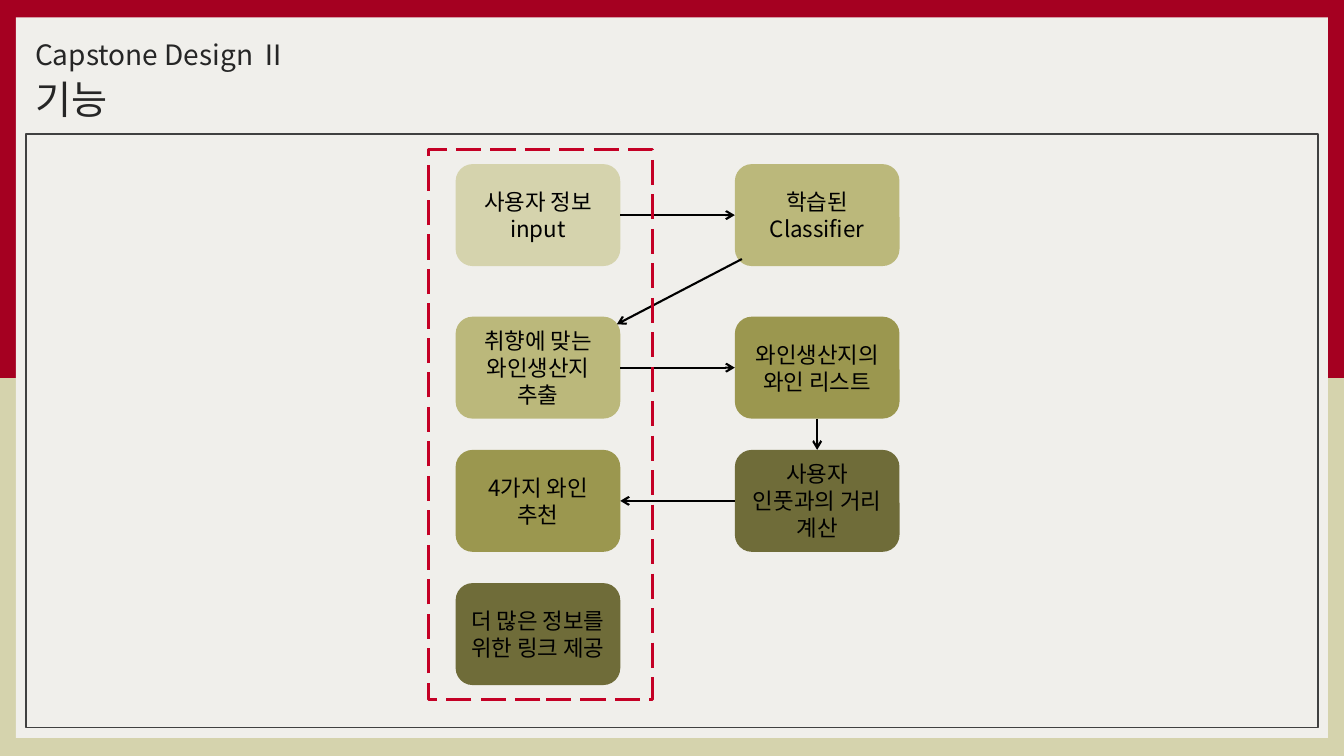
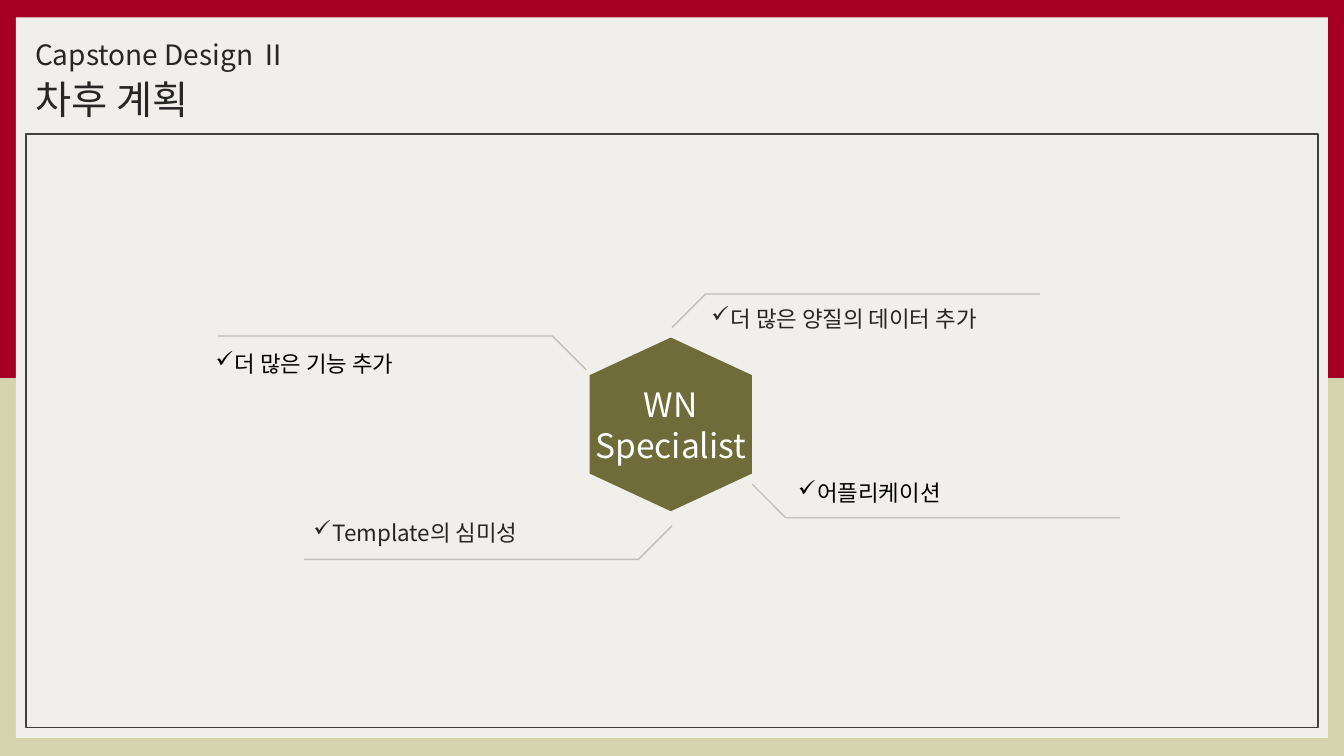
from dataclasses import dataclass

from lxml.etree import SubElement
from pptx import Presentation
from pptx.dml.color import RGBColor as Rgb
from pptx.enum.dml import MSO_LINE as Dash
from pptx.enum.shapes import MSO_CONNECTOR as Link, MSO_SHAPE as Shape
from pptx.enum.text import MSO_ANCHOR as Anchor, MSO_AUTO_SIZE as Fit, PP_ALIGN as Align
from pptx.oxml.ns import qn
from pptx.util import Emu, Inches, Pt

COLUMNS, ROWS = 80, 45
TOP, LEFT, BOTTOM, RIGHT = range(4)


@dataclass(frozen=True)
class Theme:
    """Colours, font and type sizes of the deck."""
    font: str = "Noto Sans CJK KR"
    wine: str = "A50021"
    accent: str = "C40025"
    sand: str = "D5D3AD"
    khaki: str = "BBB87B"
    olive: str = "9B974F"
    moss: str = "6F6C39"
    paper: str = "F0EFEB"
    frame: str = "404040"
    rule: str = "BFBFBF"
    ink: str = "262626"
    black: str = "000000"
    white: str = "FFFFFF"
    title: int = 28
    hub: int = 24
    course: int = 20
    body: int = 16


def assign(target, formats):
    """Set every attribute named in the formats."""
    for attribute, value in formats.items():
        setattr(target, attribute, value)


class Deck:
    """Draws themed elements on the current slide, measured in grid cells."""

    def __init__(self, theme):
        """Open a wide presentation with a square grid."""
        self.theme = theme
        self.deck = Presentation()
        assign(self.deck, {"slide_width": Inches(13.333), "slide_height": Inches(7.5)})
        self.cell = self.deck.slide_height / ROWS
        self.layout = self.deck.slide_layouts[5]
        self.slide = None

    def cells(self, *counts):
        """Turn grid counts into lengths."""
        return [Emu(round(count * self.cell)) for count in counts]

    def start(self, title, course):
        """Add a slide with its two-line heading."""
        theme = self.theme
        self.slide = self.deck.slides.add_slide(self.layout)
        if len(self.deck.slides) == 1:
            self.dress_layout()
        heading = self.slide.shapes.title
        places = zip(("left", "top", "width", "height"), self.cells(1.5, 4.02, 77, 3.12))
        assign(heading, dict(places))
        subject = self.slide.shapes.add_textbox(*self.cells(1.5, 1.44, 77, 3.12))
        for holder, words, size in ((heading, title, theme.title),
                                    (subject, course, theme.course)):
            self.label(holder, [words], size, theme.ink, Align.LEFT,
                       {"vertical_anchor": Anchor.MIDDLE, "auto_size": Fit.NONE},
                       {"line_spacing": 1.2, "space_before": Pt(0)})

    def dress_layout(self):
        """Move the bands, paper and frame behind every slide."""
        theme, half = self.theme, ROWS / 2
        backdrop = [
            self.block((0, 0, COLUMNS, half), theme.wine),
            self.block((0, half, COLUMNS, half), theme.sand),
            self.block((0.95, 1.03, 78.1, 42.9), theme.paper),
            self.block((1.55, 7.97, 76.9, 35.33), line=(theme.frame, 1)),
        ]
        for holder in list(self.layout.placeholders)[1:]:
            self.layout.shapes.element.remove(holder.element)
        for position, part in enumerate(backdrop, 2):
            self.layout.shapes.element.insert(position, part.element)

    def paint(self, part, fill=None, line=None, dash=None):
        """Give a shape its fill and outline without a shadow."""
        part.shadow.inherit = False
        if fill:
            part.fill.solid()
            part.fill.fore_color.rgb = Rgb.from_string(fill)
        else:
            part.fill.background()
        if line:
            self.stroke(part.line, *line, dash)
        else:
            part.line.fill.background()
        return part

    def stroke(self, line, color, width, dash=None):
        """Format a line."""
        line.color.rgb = Rgb.from_string(color)
        assign(line, {"width": Pt(width), "dash_style": dash})

    def block(self, place, fill=None, line=None, dash=None, kind=Shape.RECTANGLE):
        """Add a preset shape."""
        part = self.slide.shapes.add_shape(kind, *self.cells(*place))
        return self.paint(part, fill, line, dash)

    def outline(self, points, closed=False, **look):
        """Add a shape through the given grid points."""
        first, *others = [self.cells(*point) for point in points]
        builder = self.slide.shapes.build_freeform(*first, scale=1.0)
        builder.add_line_segments(others, close=closed)
        return self.paint(builder.convert_to_shape(), **look)

    def label(self, holder, lines, size, color, align, frame=None, spacing=None, bullet=None):
        """Fill a shape with formatted paragraphs."""
        body = holder.text_frame
        assign(body, {"word_wrap": True, **(frame or {})})
        for index, words in enumerate(lines):
            paragraph = body.add_paragraph() if index else body.paragraphs[0]
            assign(paragraph, {"alignment": align, **(spacing or {})})
            if bullet:
                properties = paragraph._p.get_or_add_pPr()
                properties.set("marL", str(Inches(0.19)))
                properties.set("indent", str(-Inches(0.19)))
                SubElement(properties, qn("a:buChar")).set("char", bullet)
            run = paragraph.add_run()
            run.text = words
            assign(run.font, {"size": Pt(size), "name": self.theme.font})
            run.font.color.rgb = Rgb.from_string(color)
            SubElement(run._r.get_or_add_rPr(), qn("a:ea")).set("typeface", self.theme.font)

    def step(self, place, lines, fill):
        """Add one rounded step of a flow."""
        part = self.block(place, fill, kind=Shape.ROUNDED_RECTANGLE)
        self.label(part, lines, self.theme.body, self.theme.black, Align.CENTER,
                   {"vertical_anchor": Anchor.MIDDLE})
        return part

    def arrow(self, begin=(0, 0), end=(0, 0), source=None, target=None):
        """Add an arrow between points or between joined sides."""
        link = self.slide.shapes.add_connector(Link.STRAIGHT, *self.cells(*begin, *end))
        if source:
            link.begin_connect(*source)
        if target:
            link.end_connect(*target)
        self.stroke(link.line, self.theme.black, 1.5)
        SubElement(link.line._get_or_add_ln(), qn("a:tailEnd")).set("type", "arrow")
        SubElement(link._element.spPr, qn("a:effectLst"))

    def callout(self, start, across, down, place, words, color):
        """Add a bent rule with its ticked label."""
        x, y = start
        bend, level = x + 2 * across, y + 2 * down
        self.outline([start, (bend, level), (bend + 19.9 * across, level)],
                     line=(self.theme.rule, 1))
        holder = self.slide.shapes.add_textbox(*self.cells(*place, 2.22))
        self.label(holder, [words], self.theme.body, color, Align.LEFT,
                   {"auto_size": Fit.SHAPE_TO_FIT_TEXT}, bullet="✓")

    def hub(self, center, half_width, half_height, shoulder, lines):
        """Add the central hexagon."""
        x, y = center
        left, right = x - half_width, x + half_width
        corners = [(x, y - half_height), (right, y - shoulder), (right, y + shoulder),
                   (x, y + half_height), (left, y + shoulder), (left, y - shoulder)]
        part = self.outline(corners, closed=True, fill=self.theme.moss)
        sides = ("left", "top", "right", "bottom")
        insets = {f"margin_{side}": Inches(0.04) for side in sides}
        self.label(part, lines, self.theme.hub, self.theme.white, Align.CENTER,
                   {"vertical_anchor": Anchor.MIDDLE, **insets})


def draw_features(deck, course):
    """Draw the flow from user input to recommendation."""
    theme = deck.theme
    deck.start("기능", course)
    user_column, model_column = 27.12, 43.74
    levels = [9.77] + [18.85 + 7.93 * row for row in range(3)]
    flow = {
        "input": (user_column, 0, theme.sand, ["사용자 정보 input"]),
        "classifier": (model_column, 0, theme.khaki, ["학습된 Classifier"]),
        "region": (user_column, 1, theme.khaki, ["취향에 맞는 와인생산지", "추출"]),
        "wines": (model_column, 1, theme.olive, ["와인생산지의 와인 리스트"]),
        "choice": (user_column, 2, theme.olive, ["4가지 와인", "추천"]),
        "distance": (model_column, 2, theme.moss, ["사용자 인풋과의 거리 계산"]),
        "links": (user_column, 3, theme.moss, ["더 많은 정보를 위한 링크 제공"]),
    }
    steps = {key: deck.step((column, levels[row], 9.8, 6.07), lines, fill)
             for key, (column, row, fill, lines) in flow.items()}
    for source, leaving, target, entering in (
            ("input", RIGHT, "classifier", LEFT),
            ("region", RIGHT, "wines", LEFT),
            ("wines", BOTTOM, "distance", TOP),
            ("distance", LEFT, "choice", RIGHT)):
        deck.arrow(source=(steps[source], leaving), target=(steps[target], entering))
    deck.arrow((44.16, 15.42), (36.72, 19.3))
    deck.block((25.5, 8.88, 13.32, 32.76), line=(theme.accent, 2.25), dash=Dash.LONG_DASH)


def draw_plans(deck, course):
    """Draw the plans around the project name."""
    theme = deck.theme
    deck.start("차후 계획", course)
    for plan in (
            ((34.88, 22), -1, -1, (12.24, 20.52, 21.7), "더 많은 기능 추가", theme.black),
            ((40, 31.3), -1, 1, (18.06, 30.6, 21.7), "Template의 심미성", theme.ink),
            ((40, 19.5), 1, -1, (41.76, 17.88, 26.5), "더 많은 양질의 데이터 추가", theme.ink),
            ((44.77, 28.82), 1, 1, (46.92, 28.2, 21.3), "어플리케이션", theme.black)):
        deck.callout(*plan)
    deck.hub((39.93, 25.26), 4.83, 5.17, 2.93, ["WN", "Specialist"])


def main():
    """Build and save the deck."""
    deck = Deck(Theme())
    for draw in (draw_features, draw_plans):
        draw(deck, "Capstone Design Ⅱ")
    deck.deck.save("out.pptx")


if __name__ == "__main__":
    main()
